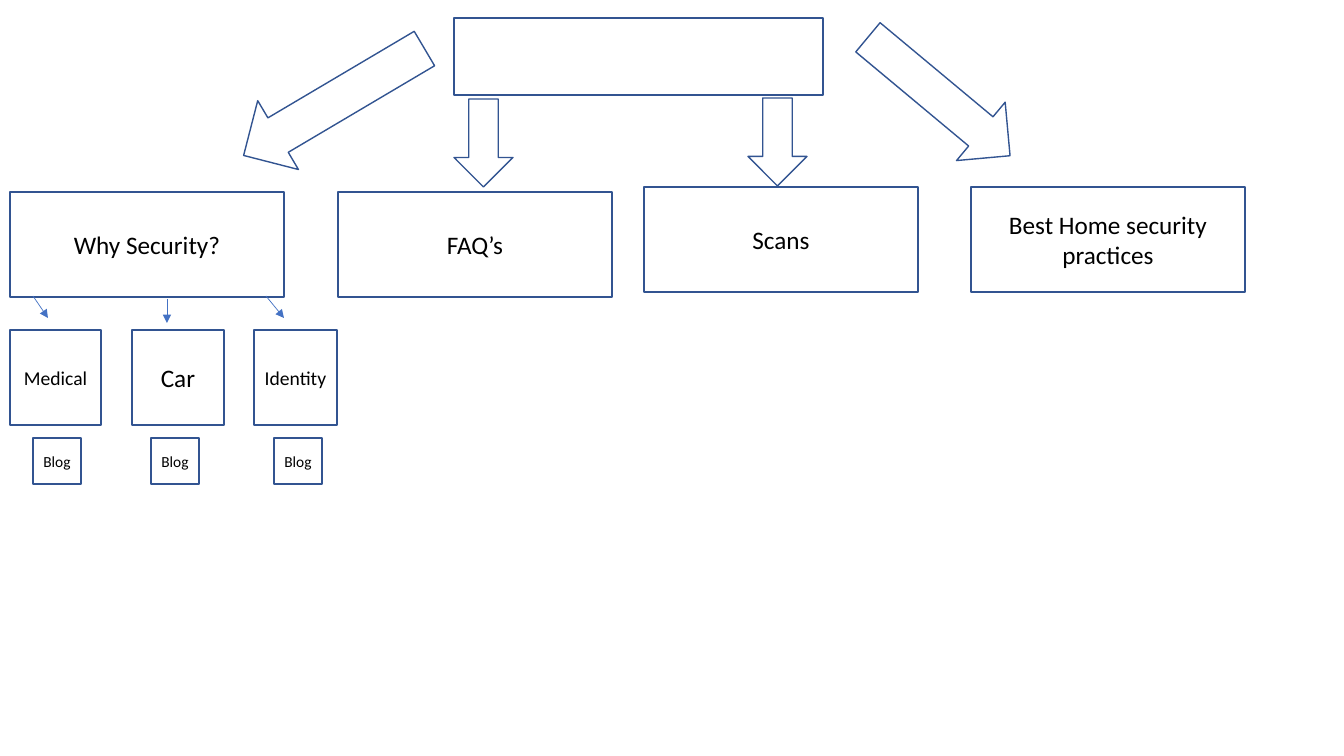
from pptx import Presentation
from pptx.dml.color import RGBColor
from pptx.enum.shapes import MSO_CONNECTOR, MSO_SHAPE
from pptx.enum.text import MSO_ANCHOR, PP_ALIGN
from pptx.oxml.ns import qn
from pptx.util import Pt
from lxml.etree import SubElement

SCALE = 914400 / 100.8


def px(*sizes):
    return [round(size * SCALE) for size in sizes]


def draw(text, at, kind=MSO_SHAPE.RECTANGLE, size=18, turn=0):
    shape = slide.shapes.add_shape(kind, *px(*at))
    shape.shadow.inherit = False
    shape.rotation = turn
    shape.fill.background()
    shape.line.color.rgb = RGBColor.from_string("325491")
    shape.line.width = Pt(1)
    if text:
        frame = shape.text_frame
        frame.word_wrap = True
        frame.vertical_anchor = MSO_ANCHOR.MIDDLE
        line = frame.paragraphs[0]
        line.alignment = PP_ALIGN.CENTER
        run = line.add_run()
        run.text = text
        run.font.name = "Calibri"
        run.font.size = Pt(size)
        run.font.color.rgb = RGBColor.from_string("000000")


deck = Presentation()
deck.slide_width, deck.slide_height = px(1344, 756)
slide = deck.slides.add_slide(deck.slide_layouts[6])

draw("", (454, 18, 369, 77))

topics = [
    ("Why Security?", 10, 192),
    ("FAQ’s", 338, 192),
    ("Scans", 644, 187),
    ("Best Home security practices", 971, 187),
]
for topic, left, top in topics:
    draw(topic, (left, top, 274, 105))

arrows = [
    (294, -3, 80, 210, 59.4),
    (454, 99, 59, 88, 0),
    (748, 98, 59, 88, 0),
    (901, 4, 76, 185, 309.8),
]
for *at, turn in arrows:
    draw("", at, kind=MSO_SHAPE.DOWN_ARROW, turn=turn)

risks = [
    ("Medical", 10, 91, 14, 33),
    ("Car", 132, 92, 18, 151),
    ("Identity", 254, 83, 14, 274),
]
for risk, left, width, size, blog in risks:
    draw(risk, (left, 330, width, 95), size=size)
    draw("Blog", (blog, 438, 48, 46), size=11)

for ends in [(33, 296, 48, 318), (167, 299, 167, 323), (266, 296, 284, 318)]:
    link = slide.shapes.add_connector(MSO_CONNECTOR.STRAIGHT, *px(*ends))
    link.line.color.rgb = RGBColor.from_string("4472C4")
    link.line.width = Pt(0.5)
    SubElement(link.line._get_or_add_ln(), qn("a:tailEnd"), type="triangle")
    SubElement(link._element.spPr, qn("a:effectLst"))

deck.save("out.pptx")
